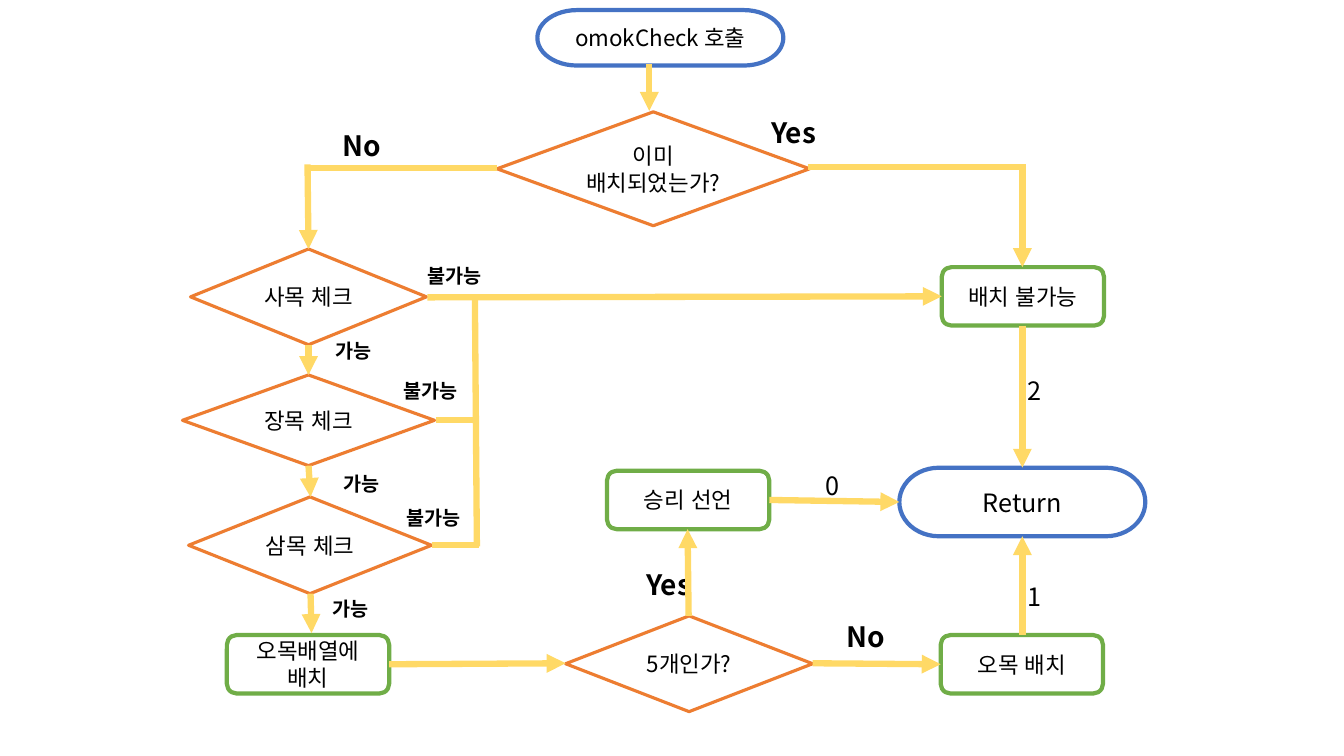
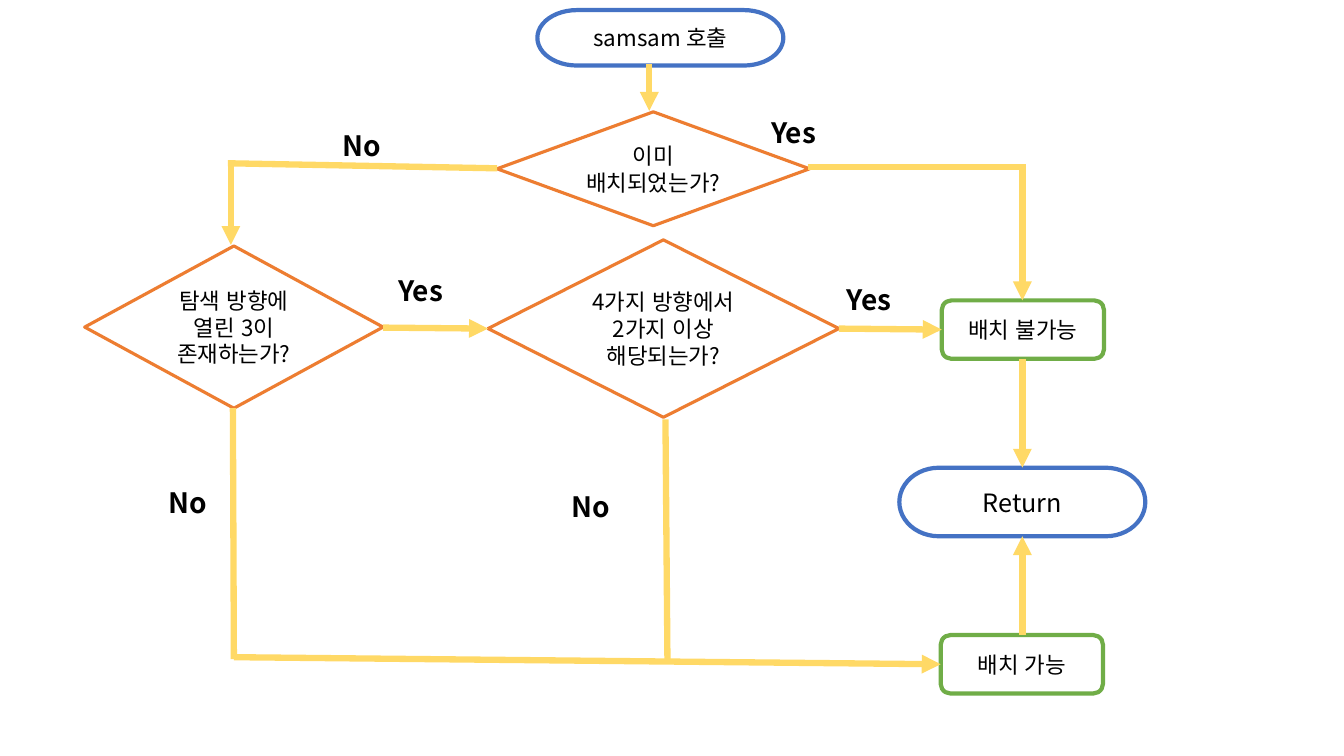
"""Build two flowcharts of a board game's placement rules."""
from lxml import etree
from pptx import Presentation
from pptx.dml.color import RGBColor
from pptx.enum.lang import MSO_LANGUAGE_ID
from pptx.enum.shapes import MSO_CONNECTOR, MSO_SHAPE
from pptx.enum.text import MSO_ANCHOR, PP_ALIGN
from pptx.oxml.ns import qn
from pptx.util import Inches, Pt

DECISION = MSO_SHAPE.FLOWCHART_DECISION
PROCESS = MSO_SHAPE.FLOWCHART_ALTERNATE_PROCESS
TERMINATOR = MSO_SHAPE.FLOWCHART_TERMINATOR
STRAIGHT = MSO_CONNECTOR.STRAIGHT
LEFT, CENTER = PP_ALIGN.LEFT, PP_ALIGN.CENTER
TOP, MIDDLE = MSO_ANCHOR.TOP, MSO_ANCHOR.MIDDLE
KOREAN = MSO_LANGUAGE_ID.KOREAN

FONT = "Noto Sans CJK KR"
BLACK, WHITE, YELLOW = "000000", "FFFFFF", "FFD966"
OUTLINES = {DECISION: ("ED7D31", 2.25), PROCESS: ("70AD47", 3), TERMINATOR: ("4472C4", 3)}
PROCESS_W, PROCESS_H = 1.61, 0.58
RETURN_X, RETURN_TOP, RETURN_BOTTOM = 10.14, 4.64, 5.32
PLACE_TOP = 6.3


def rgb(value):
    return RGBColor.from_string(value)


def write(tf, text, size=16, bold=False, align=CENTER, anchor=MIDDLE):
    tf.word_wrap = True
    tf.vertical_anchor = anchor
    for i, line in enumerate(text.split("\n")):
        p = tf.paragraphs[0] if i == 0 else tf.add_paragraph()
        p.alignment = align
        r = p.add_run()
        r.text = line
        r.font.name = FONT
        r.font.size = Pt(size)
        r.font.bold = bold
        r.font.color.rgb = rgb(BLACK)
        r.font.language_id = KOREAN
        etree.SubElement(r.font._element, qn("a:ea"), typeface=FONT)


charts = [
    {
        "call": "omokCheck 호출",
        "blocked_top": 2.65,
        "place": "오목 배치",
        "decisions": [
            ("사목 체크", 1.89, 2.47, 2.34, 0.95),
            ("장목 체크", 1.81, 3.72, 2.5, 0.9),
            ("삼목 체크", 1.87, 4.93, 2.41, 0.96),
            ("5개인가?", 5.61, 6.11, 2.45, 0.95),
        ],
        "processes": [("승리 선언", 6.02, 4.67), ("오목배열에 배치", 2.25, PLACE_TOP)],
        "labels": [
            ("Yes", 6.31, 5.58, 0.78, 20),
            ("No", 8.3, 6.1, 0.78, 20),
            ("가능", 3.23, 3.31, 0.59, 14),
            ("가능", 3.31, 4.63, 0.59, 14),
            ("가능", 3.2, 5.87, 0.59, 14),
            ("불가능", 4.14, 2.57, 0.79, 14),
            ("불가능", 3.9, 3.71, 0.79, 14),
            ("불가능", 3.93, 4.97, 0.79, 14),
            ("0", 8.09, 4.62, 0.36, 18),
            ("2", 10.09, 3.67, 0.36, 18),
            ("1", 10.09, 5.72, 0.36, 18),
        ],
        "arrows": [
            (3.05, 1.63, 3.06, 2.47),
            (3.06, 3.42, 3.06, 3.72),
            (3.06, 4.62, 3.08, 4.93),
            (3.08, 5.89, 3.09, 6.28),
            (4.24, 2.95, 9.34, 2.94),
            (3.86, 6.59, 5.61, 6.58),
            (6.83, 6.11, 6.82, 5.25),
            (7.63, 4.96, 8.92, 4.98),
            (8.06, 6.58, 9.33, 6.59),
        ],
        "lines": [
            (4.93, 1.67, 3.05, 1.67),
            (4.32, 4.17, 4.75, 4.17),
            (4.28, 5.41, 4.75, 5.41),
            (4.73, 5.42, 4.71, 2.93),
        ],
    },
    {
        "call": "samsam 호출",
        "blocked_top": 2.98,
        "place": "배치 가능",
        "decisions": [
            ("탐색 방향에 열린 3이\n존재하는가?", 0.84, 2.44, 2.96, 1.61),
            ("4가지 방향에서 2가지 이상\n해당되는가?", 4.84, 2.38, 3.48, 1.76),
        ],
        "processes": [],
        "labels": [
            ("Yes", 3.85, 2.66, 0.78, 20),
            ("Yes", 8.3, 2.75, 0.78, 20),
            ("No", 1.57, 4.77, 0.78, 20),
            ("No", 5.57, 4.81, 1.2, 20),
        ],
        "arrows": [
            (2.29, 1.61, 2.29, 2.43),
            (3.8, 3.25, 4.84, 3.26),
            (8.32, 3.26, 9.34, 3.27),
            (2.32, 6.52, 9.33, 6.59),
        ],
        "lines": [
            (4.93, 1.67, 2.26, 1.62),
            (2.32, 6.54, 2.31, 4.05),
            (6.62, 6.54, 6.6, 4.16),
        ],
    },
]

prs = Presentation()
prs.slide_width, prs.slide_height = Inches(13.33), Inches(7.5)

for chart in charts:
    s = prs.slides.add_slide(prs.slide_layouts[6])
    blocked_top = chart["blocked_top"]

    decisions = [("이미\n배치되었는가?", 4.93, 1.11, 3.1, 1.13)] + chart["decisions"]
    processes = [("배치 불가능", 9.34, blocked_top), (chart["place"], 9.33, PLACE_TOP)]
    nodes = [(DECISION, *decision, 16) for decision in decisions]
    nodes += [(PROCESS, *process, PROCESS_W, PROCESS_H, 16)
              for process in processes + chart["processes"]]
    nodes += [
        (TERMINATOR, chart["call"], 5.33, 0.1, 2.44, 0.55, 16),
        (TERMINATOR, "Return", 8.92, RETURN_TOP, 2.44, RETURN_BOTTOM - RETURN_TOP, 18),
    ]
    for kind, text, x, y, w, h, size in nodes:
        sp = s.shapes.add_shape(kind, Inches(x), Inches(y), Inches(w), Inches(h))
        color, width = OUTLINES[kind]
        sp.shadow.inherit = False
        sp.fill.solid()
        sp.fill.fore_color.rgb = rgb(WHITE)
        sp.line.color.rgb = rgb(color)
        sp.line.width = Pt(width)
        write(sp.text_frame, text, size=size)

    labels = [("No", 3.3, 1.23, 0.6, 20), ("Yes", 7.55, 1.1, 0.78, 20)] + chart["labels"]
    for text, x, y, w, size in labels:
        tb = s.shapes.add_textbox(Inches(x), Inches(y), Inches(w), Inches(size * 0.02 + 0.04))
        write(tb.text_frame, text, size=size, bold=not text.isdigit(), align=LEFT, anchor=TOP)

    arrows = [
        (6.44, 0.64, 6.44, 1.1),
        (RETURN_X, 1.63, RETURN_X, blocked_top),
        (RETURN_X, blocked_top + PROCESS_H, RETURN_X, RETURN_TOP),
        (RETURN_X, PLACE_TOP, RETURN_X, RETURN_BOTTOM),
    ] + chart["arrows"]
    lines = [(8.01, 1.66, RETURN_X, 1.66)] + chart["lines"]
    for i, ends in enumerate(arrows + lines):
        cx = s.shapes.add_connector(STRAIGHT, *[Inches(v) for v in ends])
        cx.line.color.rgb = rgb(YELLOW)
        cx.line.width = Pt(4.5)
        if i < len(arrows):
            etree.SubElement(cx.line._get_or_add_ln(), qn("a:tailEnd"), type="triangle")
        etree.SubElement(cx._element.spPr, qn("a:effectLst"))

prs.save("out.pptx")
